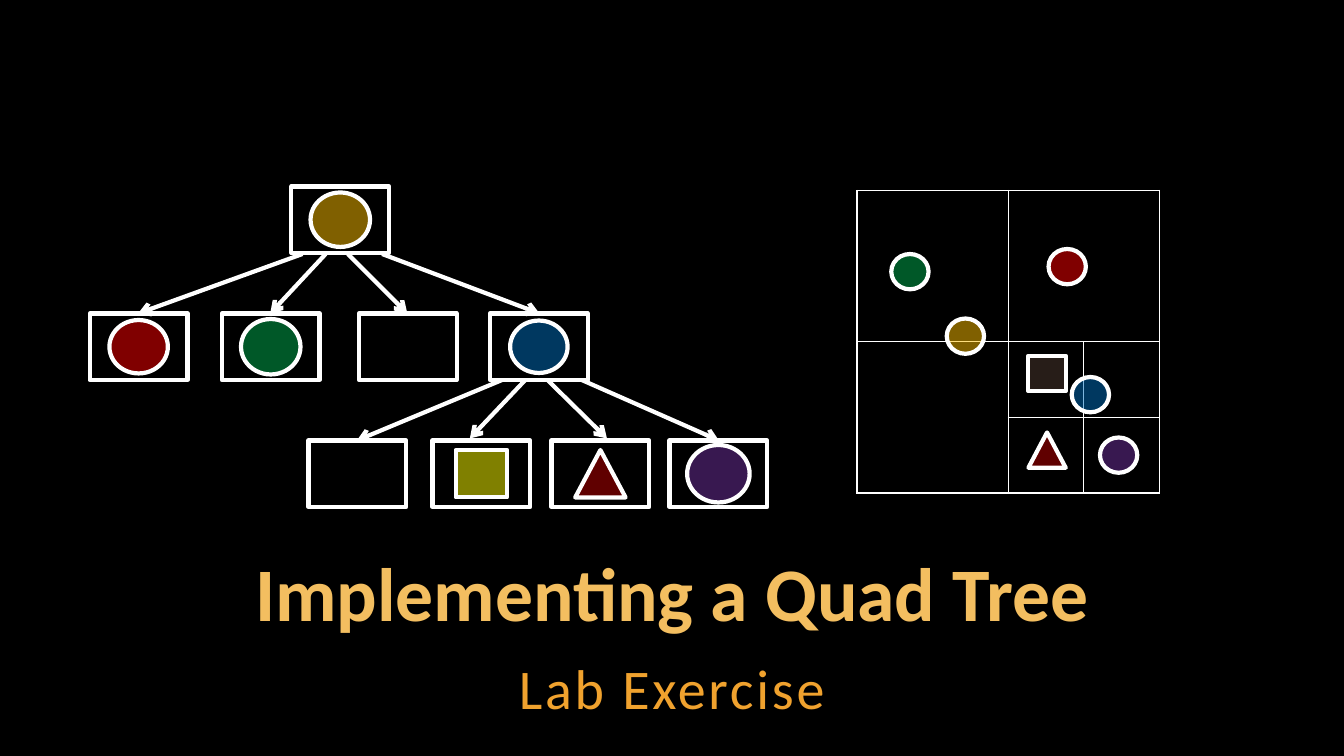
from lxml.etree import SubElement
from pptx import Presentation
from pptx.dml.color import RGBColor
from pptx.enum.shapes import MSO_CONNECTOR, MSO_SHAPE
from pptx.enum.text import MSO_ANCHOR, MSO_AUTO_SIZE, PP_ALIGN
from pptx.oxml.ns import qn
from pptx.util import Inches, Pt

BLACK = RGBColor(0x00, 0x00, 0x00)
WHITE = RGBColor(0xFF, 0xFF, 0xFF)
TITLE_GOLD = RGBColor(0xF3, 0xBE, 0x60)
SUBTITLE_ORANGE = RGBColor(0xF0, 0xA2, 0x2E)
GREEN = RGBColor(0x00, 0xB0, 0x50)
RED = RGBColor(0xFF, 0x00, 0x00)
AMBER = RGBColor(0xFF, 0xC0, 0x00)
BLUE = RGBColor(0x00, 0x70, 0xC0)
PURPLE = RGBColor(0x70, 0x30, 0xA0)
CRIMSON = RGBColor(0xC0, 0x00, 0x00)
BROWN = RGBColor(0x4E, 0x3B, 0x30)
YELLOW = RGBColor(0xFF, 0xFF, 0x00)

CIRCLE = MSO_SHAPE.OVAL
TRIANGLE = MSO_SHAPE.ISOSCELES_TRIANGLE
SQUARE = MSO_SHAPE.RECTANGLE

CELL_SIZES = [1.5, 0.75, 0.75]
MAP_MARKERS = [
    (CIRCLE, GREEN, 8.84, 2.52),
    (CIRCLE, RED, 10.4, 2.47),
    (CIRCLE, AMBER, 9.39, 3.16),
    (CIRCLE, BLUE, 10.63, 3.74),
    (CIRCLE, PURPLE, 10.91, 4.34),
    (TRIANGLE, CRIMSON, 10.2, 4.29),
    (SQUARE, BROWN, 10.2, 3.53),
]

NODE_WIDTH, NODE_HEIGHT = 0.97, 0.66
ROOT_TOP, CHILD_TOP, LEAF_TOP = 1.85, 3.11, 4.37
EMPTY_NODES = [(3.56, CHILD_TOP), (3.06, LEAF_TOP)]
FILLED_NODES = [
    (2.89, ROOT_TOP, CIRCLE, AMBER, 0.59, 0.54),
    (0.89, CHILD_TOP, CIRCLE, RED, 0.58, 0.53),
    (2.2, CHILD_TOP, CIRCLE, GREEN, 0.59, 0.55),
    (4.86, CHILD_TOP, CIRCLE, BLUE, 0.57, 0.52),
    (4.29, LEAF_TOP, SQUARE, YELLOW, 0.51, 0.47),
    (5.47, LEAF_TOP, TRIANGLE, CRIMSON, 0.5, 0.47),
    (6.64, LEAF_TOP, CIRCLE, PURPLE, 0.62, 0.57),
]
ARROW_STARTS = [3, 3.23, 3.45, 3.79]
BRANCHES = [
    (0, 2.52, [(1.37, 3.11), (2.68, 3.11), (4.04, 3.11), (5.35, 3.11)]),
    (1.98, 3.77, [(3.54, 4.37), (4.66, 4.35), (6.02, 4.35), (7.13, 4.37)]),
]


def set_text(placeholder, text, top, height, size, color, spacing):
    placeholder.left, placeholder.top = Inches(1), Inches(top)
    placeholder.width, placeholder.height = Inches(11.33), Inches(height)
    frame = placeholder.text_frame
    frame.word_wrap = True
    frame.auto_size = MSO_AUTO_SIZE.SHAPE_TO_FIT_TEXT
    frame.margin_left = frame.margin_right = Inches(0.04)
    frame.margin_top = frame.margin_bottom = Inches(0.04)
    paragraph = frame.paragraphs[0]
    paragraph.alignment = PP_ALIGN.CENTER
    paragraph.line_spacing = spacing
    paragraph.space_before = Pt(0)
    run = paragraph.add_run()
    run.text = text
    run.font.name = "Calibri"
    run.font.size = Pt(size)
    run.font.color.rgb = color
    return frame, paragraph, run


def add_outlined_shape(shapes, kind, left, top, width, height, color=None):
    shape = shapes.add_shape(
        kind, Inches(left), Inches(top), Inches(width), Inches(height)
    )
    shape.shadow.inherit = False
    shape.line.color.rgb = WHITE
    shape.line.width = Pt(3)
    if color is None:
        shape.fill.background()
    else:
        shape.fill.solid()
        shape.fill.fore_color.rgb = color
        color_element = shape.fill._xPr.find(qn("a:solidFill"))[0]
        SubElement(color_element, qn("a:alpha"), val="50000")


def add_arrow(shapes, start, end):
    points = [Inches(value) for value in (*start, *end)]
    connector = shapes.add_connector(MSO_CONNECTOR.STRAIGHT, *points)
    connector.line.color.rgb = WHITE
    connector.line.width = Pt(3)
    SubElement(connector.line._get_or_add_ln(), qn("a:tailEnd"), type="arrow")
    SubElement(connector._element.spPr, qn("a:effectLst"))


def set_borders(cell):
    properties = cell._tc.get_or_add_tcPr()
    for side in ("lnL", "lnR", "lnT", "lnB"):
        line = SubElement(properties, qn(f"a:{side}"), w=str(Pt(1)))
        fill = SubElement(line, qn("a:solidFill"))
        SubElement(fill, qn("a:srgbClr"), val=str(WHITE))


def add_map(shapes):
    size = sum(CELL_SIZES)
    count = len(CELL_SIZES)
    table = shapes.add_table(
        count, count, Inches(8.5), Inches(1.89), Inches(size), Inches(size)
    ).table
    table.first_row = False
    table.horz_banding = False
    for index, length in enumerate(CELL_SIZES):
        table.columns[index].width = Inches(length)
        table.rows[index].height = Inches(length)
    table.cell(0, 1).merge(table.cell(0, 2))
    table.cell(1, 0).merge(table.cell(2, 0))
    for cell in table.iter_cells():
        set_borders(cell)
        cell.fill.background()
    for kind, color, left, top in MAP_MARKERS:
        add_outlined_shape(shapes, kind, left, top, 0.37, 0.35, color)


def add_node(shapes, left, top):
    add_outlined_shape(shapes, SQUARE, left, top, NODE_WIDTH, NODE_HEIGHT)


def add_tree(shapes):
    for left, top in EMPTY_NODES:
        add_node(shapes, left, top)
    for left, top, kind, color, width, height in FILLED_NODES:
        add_node(shapes, left, top)
        marker_left = left + (NODE_WIDTH - width) / 2
        marker_top = top + (NODE_HEIGHT - height) / 2
        add_outlined_shape(
            shapes, kind, marker_left, marker_top, width, height, color
        )
    for shift, start_top, ends in BRANCHES:
        for start_left, end in zip(ARROW_STARTS, ends):
            add_arrow(shapes, (start_left + shift, start_top), end)


def main():
    presentation = Presentation()
    presentation.slide_width = Inches(13.33)
    presentation.slide_height = Inches(7.5)
    slide = presentation.slides.add_slide(presentation.slide_layouts[0])
    slide.background.fill.solid()
    slide.background.fill.fore_color.rgb = BLACK

    frame, _, run = set_text(
        slide.shapes.title, "Implementing a Quad Tree", 5.47, 0.9, 54, TITLE_GOLD, 0.9
    )
    frame.vertical_anchor = MSO_ANCHOR.BOTTOM
    run.font.bold = True
    frame, paragraph, run = set_text(
        slide.placeholders[1], "Lab Exercise", 6.41, 0.79, 40, SUBTITLE_ORANGE, 1.05
    )
    frame.vertical_anchor = MSO_ANCHOR.TOP
    paragraph.space_after = Pt(6)
    run.font._element.set("spc", "200")

    add_map(slide.shapes)
    add_tree(slide.shapes.add_group_shape().shapes)
    presentation.save("out.pptx")


if __name__ == "__main__":
    main()
